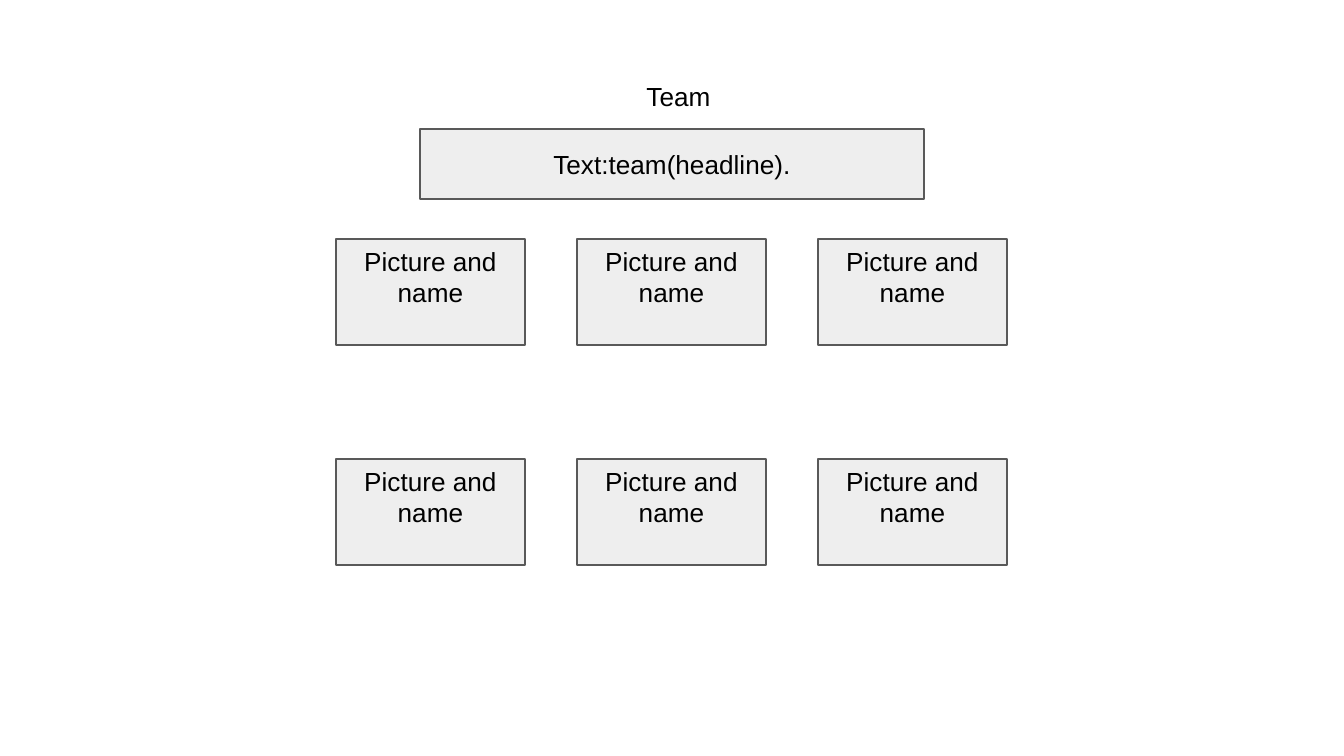
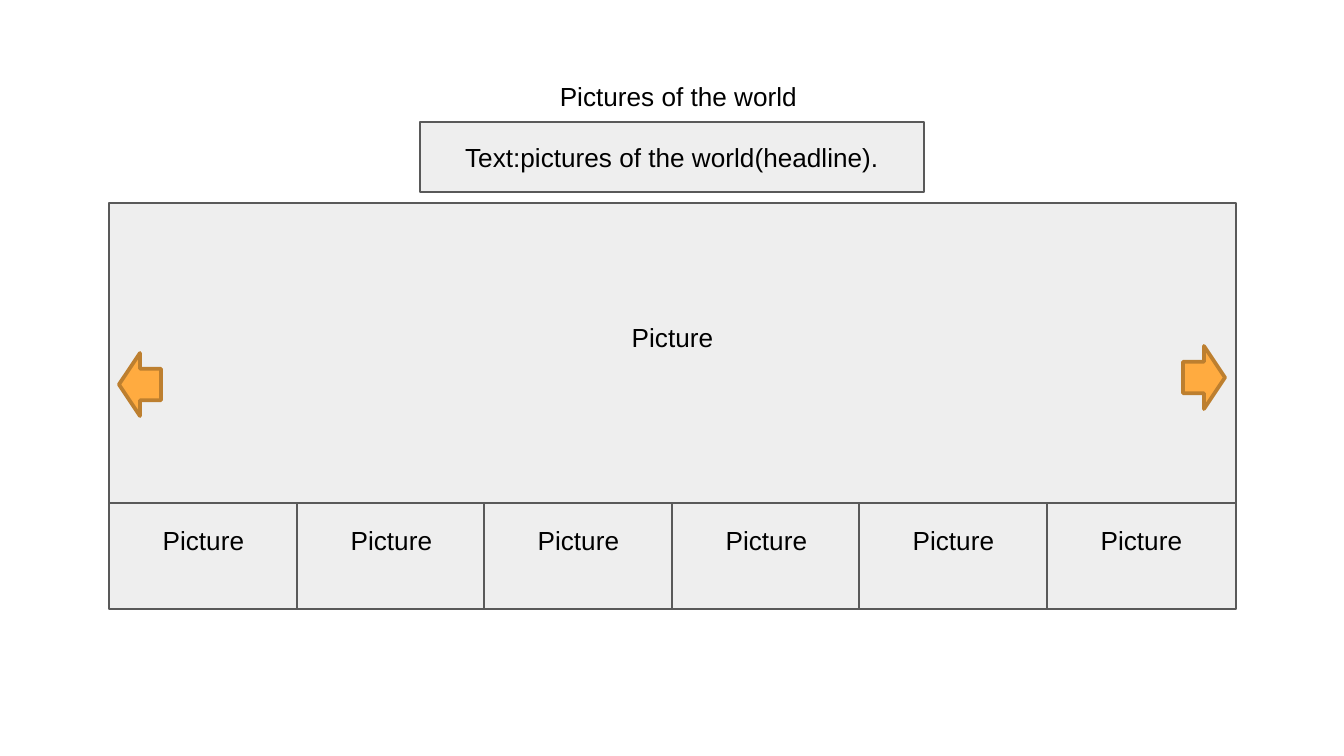
import pptx
import pptx.util
import pptx.dml.color
import pptx.enum.shapes
import pptx.enum.text
from dataclasses import dataclass

TEAM = {
    "title": "Team",
    "headline": "Text:team(headline).",
    "members": [["Picture and name"] * 3, ["Picture and name"] * 3],
}
GALLERY = {
    "title": "Pictures of the world",
    "headline": "Text:pictures of the world(headline).",
    "main": "Picture",
    "thumbnails": ["Picture"] * 6,
}


@dataclass(frozen=True)
class Theme:
    font: str = "Arial"
    size: float = 14
    text: str = "000000"
    panel: str = "EEEEEE"
    border: str = "595959"
    border_width: float = 0.75
    arrow: str = "FFAB40"
    arrow_border: str = "BD7F2F"
    arrow_width: float = 2


THEME = Theme()
SHAPES = pptx.enum.shapes.MSO_SHAPE
ANCHOR = pptx.enum.text.MSO_ANCHOR
EMU_PER_PX = 914400 / 134.4
SLIDE_WIDTH, SLIDE_HEIGHT = 1344, 756
INSET = 13
CARD_WIDTH, CARD_HEIGHT = 189, 106
CARD_LIFT = 31


def px(length):
    return pptx.util.Emu(round(length * EMU_PER_PX))


def rgb(value):
    return pptx.dml.color.RGBColor.from_string(value)


def write(frame, text, anchor, top=INSET, bottom=INSET):
    frame.text = text
    frame.word_wrap = True
    frame.auto_size = pptx.enum.text.MSO_AUTO_SIZE.NONE
    frame.vertical_anchor = anchor
    frame.margin_left = frame.margin_right = px(INSET)
    frame.margin_top, frame.margin_bottom = px(top), px(bottom)
    paragraph = frame.paragraphs[0]
    paragraph.alignment = pptx.enum.text.PP_ALIGN.CENTER
    paragraph.font.name = THEME.font
    paragraph.font.size = pptx.util.Pt(THEME.size)
    paragraph.font.color.rgb = rgb(THEME.text)


def add_block(slide, kind, box, fill, line, line_width):
    block = slide.shapes.add_shape(kind, *map(px, box))
    block.shadow.inherit = False
    block.fill.solid()
    block.fill.fore_color.rgb = rgb(fill)
    block.line.color.rgb = rgb(line)
    block.line.width = pptx.util.Pt(line_width)
    return block


def add_panel(slide, text, box, top=INSET, bottom=INSET):
    panel = add_block(slide, SHAPES.RECTANGLE, box,
                      THEME.panel, THEME.border, THEME.border_width)
    write(panel.text_frame, text, ANCHOR.MIDDLE, top, bottom)


def add_card(slide, text, left, top, width=CARD_WIDTH, height=CARD_HEIGHT):
    add_panel(slide, text, (left, top, width, height), 0, CARD_LIFT)


def add_arrow(slide, kind, left, top):
    add_block(slide, kind, (left, top, 42, 63),
              THEME.arrow, THEME.arrow_border, THEME.arrow_width)


def start_slide(deck, content, headline_top):
    slide = deck.slides.add_slide(deck.slide_layouts.get_by_name("Title Only"))
    title = slide.shapes.title
    title.left, title.top, title.width, title.height = map(px, (52, 67, 1253, 63))
    write(title.text_frame, content["title"], ANCHOR.TOP)
    add_panel(slide, content["headline"], (420, headline_top, 504, 70))
    return slide


def build_team(deck):
    slide = start_slide(deck, TEAM, 129)
    for row, members in enumerate(TEAM["members"]):
        for column, member in enumerate(members):
            add_card(slide, member, 336 + column * 241, 239 + row * 220)


def build_gallery(deck):
    slide = start_slide(deck, GALLERY, 122)
    left, top, width, height = 109, 203, 1127, 300
    add_card(slide, GALLERY["main"], left, top, width, height)
    thumbnails = GALLERY["thumbnails"]
    step = (width - CARD_WIDTH) / (len(thumbnails) - 1)
    for index, thumbnail in enumerate(thumbnails):
        add_card(slide, thumbnail, left + round(index * step), top + height)
    add_arrow(slide, SHAPES.LEFT_ARROW, 119, 353)
    add_arrow(slide, SHAPES.RIGHT_ARROW, 1183, 346)


def main():
    deck = pptx.Presentation()
    deck.slide_width, deck.slide_height = px(SLIDE_WIDTH), px(SLIDE_HEIGHT)
    build_team(deck)
    build_gallery(deck)
    deck.save("out.pptx")


if __name__ == "__main__":
    main()
